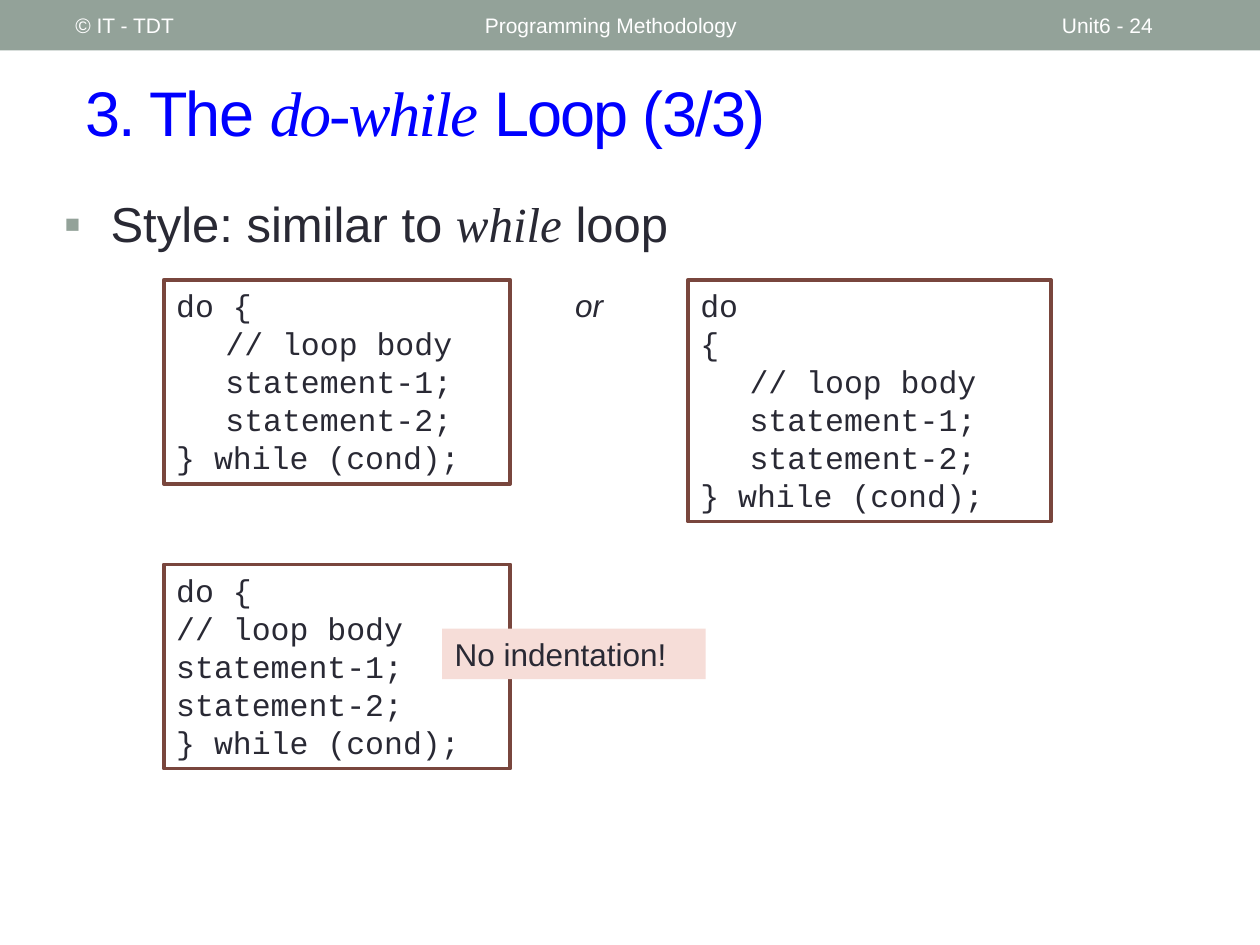
from lxml import etree
from pptx import Presentation
from pptx.dml.color import RGBColor
from pptx.enum.shapes import MSO_SHAPE
from pptx.enum.text import MSO_ANCHOR, PP_ALIGN
from pptx.oxml.ns import qn
from pptx.util import Inches, Pt

RECT = MSO_SHAPE.RECTANGLE
TOP, MIDDLE = MSO_ANCHOR.TOP, MSO_ANCHOR.MIDDLE
LEFT, CENTER = PP_ALIGN.LEFT, PP_ALIGN.CENTER
SAGE = RGBColor(0x93, 0xA2, 0x99)
WHITE = RGBColor(0xFF, 0xFF, 0xFF)
BLUE = RGBColor(0x00, 0x00, 0xFF)
INK = RGBColor(0x29, 0x29, 0x34)
BROWN = RGBColor(0x79, 0x46, 0x3D)
PINK = RGBColor(0xF6, 0xDD, 0xD8)

deck = Presentation()
deck.slide_width, deck.slide_height = Inches(10), Inches(7.5)
slide = deck.slides.add_slide(deck.slide_layouts[6])


def add_box(left, top, width, height, fill=None, line=None):
    area = [Inches(n) for n in (left, top, width, height)]
    if fill is None:
        box = slide.shapes.add_textbox(*area)
    else:
        box = slide.shapes.add_shape(RECT, *area)
        box.shadow.inherit = False
        box.fill.solid()
        box.fill.fore_color.rgb = fill
        if line is None:
            box.line.fill.background()
        else:
            box.line.color.rgb = line
            box.line.width = Pt(2.08)
    box.text_frame.word_wrap = True
    box.text_frame.vertical_anchor = TOP
    return box.text_frame


def add_run(para, text, size, color, face="Arial", slant=False):
    run = para.add_run()
    run.text = text
    run.font.size = Pt(size)
    run.font.name = face
    run.font.italic = slant
    run.font.color.rgb = color
    return run


add_box(0, 0, 10, 0.4, SAGE)

for left, width, text in (
    (0.5, 3.17, "© IT - TDT"),
    (3.75, 4.5, "Programming Methodology"),
    (8.33, 1.17, "Unit6 - 24"),
):
    frame = add_box(left, 0.02, width, 0.36)
    frame.vertical_anchor = MIDDLE
    add_run(frame.paragraphs[0], text, 12, WHITE)

frame = add_box(0.58, 0.42, 9.17, 0.92)
frame.vertical_anchor = MIDDLE
for text, face, slant in (
    ("3. The ", "Arial", False),
    ("do-while", "Times New Roman", True),
    (" Loop (3/3)", "Arial", False),
):
    run = add_run(frame.paragraphs[0], text, 36, BLUE, face, slant)
    run.font._element.set("spc", "-100")

para = add_box(0.41, 1.49, 5.57, 1.17).paragraphs[0]
props = para._p.get_or_add_pPr()
props.set("marL", str(Inches(0.37)))
props.set("indent", str(Inches(-0.37)))
tint = etree.SubElement(props, qn("a:buClr"))
etree.SubElement(tint, qn("a:srgbClr")).set("val", str(SAGE))
etree.SubElement(props, qn("a:buFont")).set("typeface", "Arial")
etree.SubElement(props, qn("a:buChar")).set("char", "▪")
for text, face, slant in (
    ("Style: similar to ", "Arial", False),
    ("while", "Times New Roman", True),
    (" loop", "Arial", False),
):
    add_run(para, text, 28, INK, face, slant)

body = ["// loop body", "statement-1;", "statement-2;"]
inner = ["\t" + row for row in body]
end = ["} while (cond);"]
for left, top, width, height, rows in (
    (1.3, 2.22, 2.75, 1.62, ["do {"] + inner + end),
    (5.46, 2.22, 2.88, 1.92, ["do", "{"] + inner + end),
    (1.3, 4.48, 2.75, 1.62, ["do {"] + body + end),
):
    frame = add_box(left, top, width, height, WHITE, BROWN)
    frame.text = "\n".join(rows)
    for para in frame.paragraphs:
        para.alignment = LEFT
        para.line_spacing = Pt(21.7)
        tabs = etree.SubElement(para._p.get_or_add_pPr(), qn("a:tabLst"))
        for stop in (0.39, 0.79):
            tab = etree.SubElement(tabs, qn("a:tab"))
            tab.set("pos", str(Inches(stop)))
            tab.set("algn", "l")
        for run in para.runs:
            run.font.size = Pt(18)
            run.font.name = "Courier New"
            run.font.color.rgb = INK

para = add_box(4.29, 2.22, 0.77, 0.4).paragraphs[0]
para.alignment = CENTER
add_run(para, "or", 18, INK, slant=True)

para = add_box(3.51, 4.99, 2.09, 0.4, PINK).paragraphs[0]
para.alignment = LEFT
add_run(para, "No indentation!", 18, INK)

deck.save("out.pptx")
